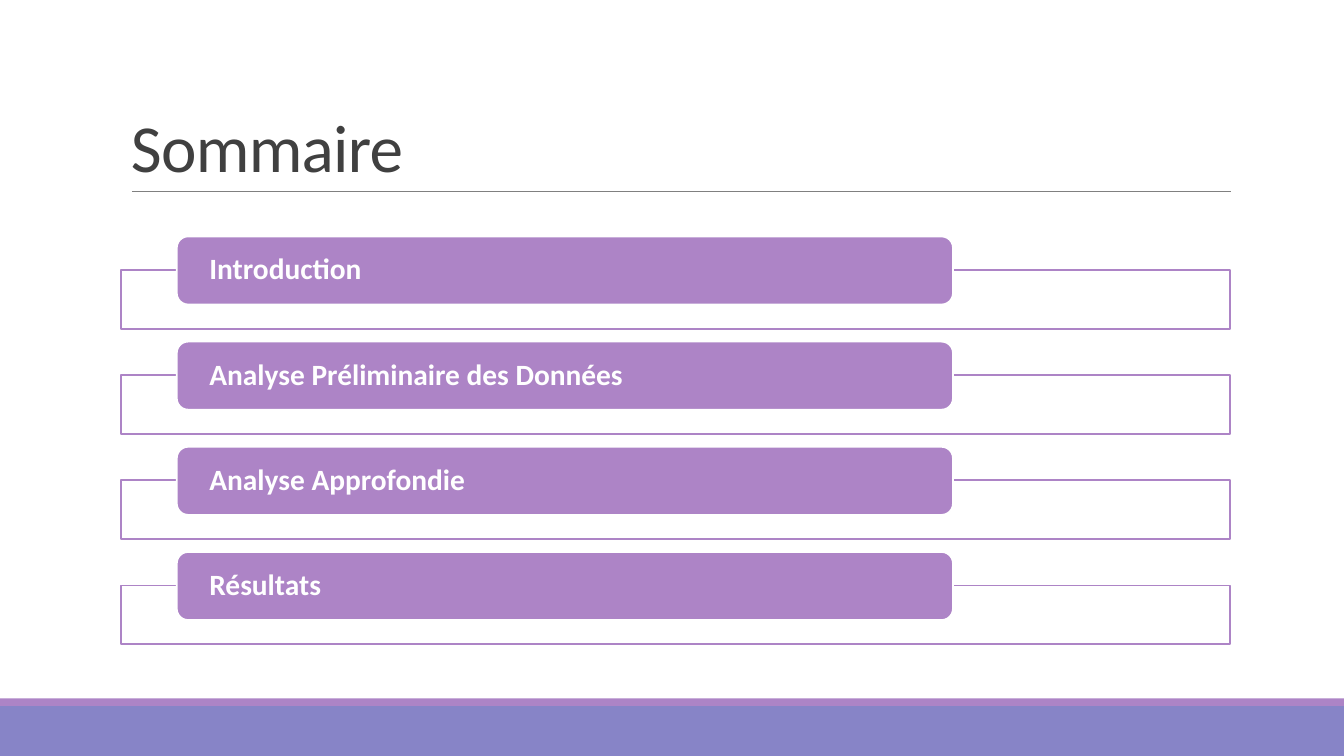
from lxml.etree import SubElement
from pptx import Presentation
from pptx.dml.color import RGBColor
from pptx.enum.shapes import MSO_CONNECTOR, MSO_SHAPE
from pptx.enum.text import MSO_ANCHOR, PP_ALIGN
from pptx.oxml.ns import qn
from pptx.util import Inches, Pt

COLUMNS, ROWS = 160, 90
FONT = "Calibri"
WHITE, LILAC, BLUE = "FFFFFF", "AD84C6", "8784C7"
TITLE_GREY, RULE_GREY = "404040", "808080"
SECTIONS = [
    "Introduction",
    "Analyse Préliminaire des Données",
    "Analyse Approfondie",
    "Résultats",
]
FIRST_ROW, SECTION_PITCH = 28.15, 12.52


def color(hex_code):
    return RGBColor.from_string(hex_code)


class SummarySlide:
    """Places styled elements on a grid of COLUMNS by ROWS."""

    def __init__(self, presentation):
        self.slide = presentation.slides.add_slide(presentation.slide_layouts[6])
        self.column = presentation.slide_width / COLUMNS
        self.row = presentation.slide_height / ROWS

    def place(self, left, top, width, height):
        """Turn grid lengths into slide lengths."""
        return (round(left * self.column), round(top * self.row),
                round(width * self.column), round(height * self.row))

    def box(self, area, fill, line=None, kind=MSO_SHAPE.RECTANGLE, opacity=None):
        shape = self.slide.shapes.add_shape(kind, *self.place(*area))
        shape.shadow.inherit = False
        shape.fill.solid()
        shape.fill.fore_color.rgb = color(fill)
        if opacity is not None:
            fill_color = shape._element.spPr.find(qn("a:solidFill"))[0]
            SubElement(fill_color, qn("a:alpha"), val=str(opacity * 1000))
        if line:
            shape.line.color.rgb = color(line)
            shape.line.width = Pt(1.25)
        else:
            shape.line.fill.background()
        return shape

    def rule(self, left, right, row):
        x, y, length, _ = self.place(left, row, right - left, 0)
        connector = self.slide.shapes.add_connector(
            MSO_CONNECTOR.STRAIGHT, x, y, x + length, y)
        connector.line.color.rgb = color(RULE_GREY)
        connector.line.width = Pt(0.5)
        SubElement(connector._element.spPr, qn("a:effectLst"))

    def set_text(self, shape, text, size, fill, spacing, anchor, bold=False):
        frame = shape.text_frame
        frame.word_wrap = True
        frame.vertical_anchor = anchor
        paragraph = frame.paragraphs[0]
        paragraph.text = text
        paragraph.alignment = PP_ALIGN.LEFT
        paragraph.line_spacing = spacing
        paragraph.font.name = FONT
        paragraph.font.size = Pt(size)
        paragraph.font.bold = bold
        paragraph.font.color.rgb = color(fill)
        return paragraph

    def title(self, text, area):
        shape = self.slide.shapes.add_textbox(*self.place(*area))
        paragraph = self.set_text(shape, text, 48, TITLE_GREY, 0.85, MSO_ANCHOR.BOTTOM)
        paragraph.runs[0]._r.get_or_add_rPr().set("spc", "-50")

    def section(self, text, top):
        """Draw an outlined band with a rounded label over its top edge."""
        self.box((14.4, top + 4, 132, 7), WHITE, LILAC, opacity=90)
        label = self.box((21.05, top, 92.4, 8.1), LILAC, WHITE,
                         MSO_SHAPE.ROUNDED_RECTANGLE)
        frame = label.text_frame
        frame.margin_left = frame.margin_right = Inches(0.29)
        frame.margin_top = frame.margin_bottom = 0
        self.set_text(label, text, 21, WHITE, 0.9, MSO_ANCHOR.MIDDLE, bold=True)


def main():
    presentation = Presentation()
    presentation.slide_width = Inches(13.33)
    presentation.slide_height = Inches(7.5)
    summary = SummarySlide(presentation)
    summary.box((0, 84, COLUMNS, 6), BLUE)
    summary.box((0, 83.15, COLUMNS, 0.9), LILAC)
    summary.rule(15.7, 146.5, 22.8)
    summary.title("Sommaire", (14.4, 3.7, 132, 19.1))
    for index, text in enumerate(SECTIONS):
        summary.section(text, FIRST_ROW + index * SECTION_PITCH)
    presentation.save("out.pptx")


if __name__ == "__main__":
    main()
